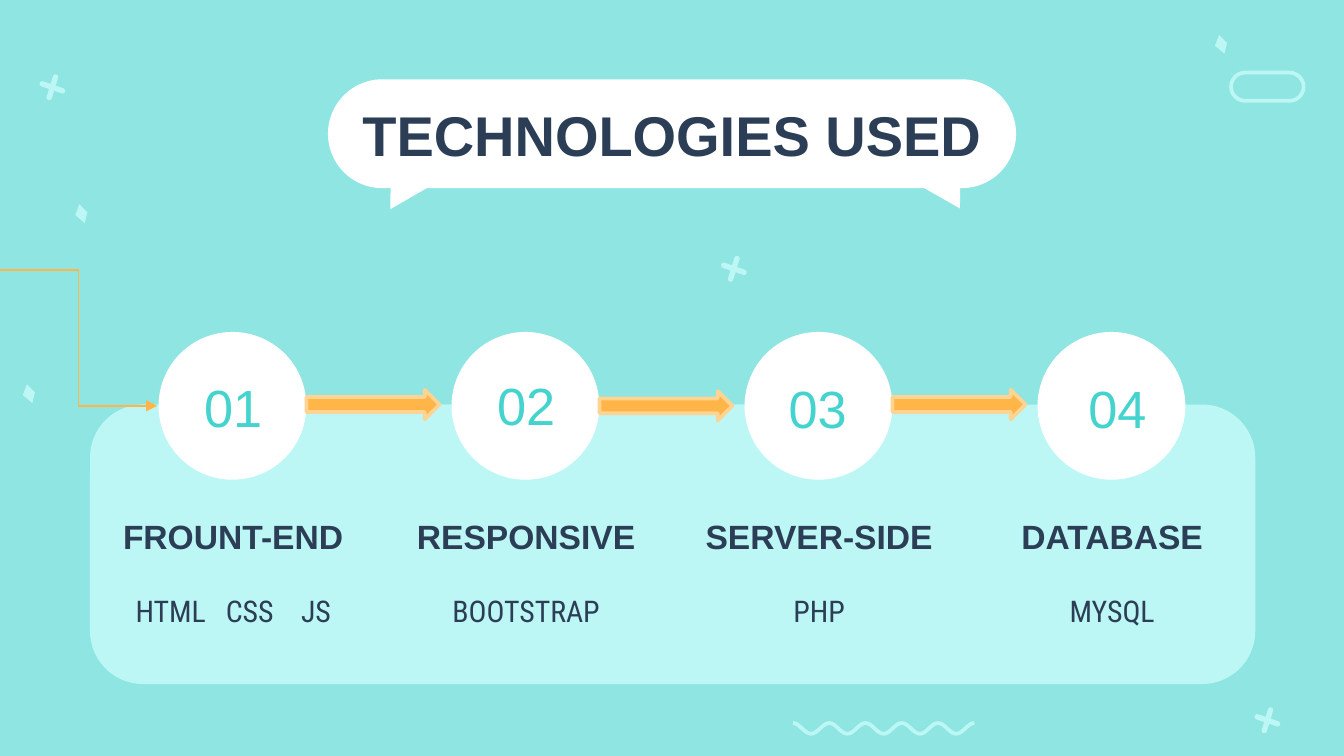
import math
from dataclasses import dataclass

import pptx
import pptx.dml.color
import pptx.enum.shapes
import pptx.enum.text
import pptx.util
from lxml import etree
from pptx.oxml import ns

Inches = pptx.util.Inches
Shape = pptx.enum.shapes.MSO_SHAPE
Align = pptx.enum.text.PP_ALIGN
Anchor = pptx.enum.text.MSO_ANCHOR


@dataclass(frozen=True)
class Theme:
    background: str = "8FE5E2"
    pale: str = "BCF7F5"
    white: str = "FFFFFF"
    ink: str = "2B3E55"
    teal: str = "44D3CE"
    orange: str = "FFB548"
    light_orange: str = "FFD391"
    heading_font: str = "Arial"
    detail_font: str = "Roboto Condensed"
    title_size: int = 30
    number_size: int = 28
    heading_size: int = 18
    detail_size: int = 16


THEME = Theme()
STEP_PITCH = 2.18
CIRCLE_LEFT, CIRCLE_TOP, CIRCLE_SIZE = 1.18, 2.47, 1.1
TEXT_LEFT, TEXT_WIDTH = 0.78, 1.91
STEPS = [
    ("01", (1.42, 2.74), "FROUNT-END", "HTML\tCSS\tJS"),
    ("02", (3.6, 2.73), "RESPONSIVE", "BOOTSTRAP"),
    ("03", (5.77, 2.75), "SERVER-SIDE", "PHP"),
    ("04", (8, 2.75), "DATABASE", "MYSQL"),
]
ARROW_TOPS = (2.9, 2.91, 2.9)
DETAIL_TABS = (0.67, 1.23)


def color(value):
    return pptx.dml.color.RGBColor.from_string(value)


def paint(shape, fill=None, line=None, width=0):
    shape.shadow.inherit = False
    if fill:
        shape.fill.solid()
        shape.fill.fore_color.rgb = color(fill)
    else:
        shape.fill.background()
    if line:
        shape.line.color.rgb = color(line)
        shape.line.width = pptx.util.Pt(width)
    else:
        shape.line.fill.background()


def add_preset(slide, kind, box, fill=None, line=None, width=0, rotation=0, rounding=None):
    shape = slide.shapes.add_shape(kind, *map(Inches, box))
    paint(shape, fill, line, width)
    shape.rotation = rotation
    if rounding is not None:
        shape.adjustments[0] = rounding
    return shape


def add_outline(slide, points, close=True):
    points = [(Inches(x), Inches(y)) for x, y in points]
    builder = slide.shapes.build_freeform(*points[0])
    builder.add_line_segments(points[1:], close=close)
    return builder.convert_to_shape()


def add_cross(slide, x, y):
    for rotation in (17, 109):
        add_preset(slide, Shape.ROUNDED_RECTANGLE, (x - 0.02, y - 0.1, 0.04, 0.2),
                   THEME.pale, rotation=rotation, rounding=0.5)


def add_kite(slide, left, top):
    corners = [(0.07, 0.14), (0.09, 0.06), (0.03, 0), (0, 0.08)]
    paint(add_outline(slide, [(left + x, top + y) for x, y in corners]), THEME.pale)


def add_wave(slide, left, middle, period, cycles):
    samples = 16
    points = [
        (left + period * i / samples, middle - 0.04 * math.cos(2 * math.pi * i / samples))
        for i in range(samples * cycles + 1)
    ]
    paint(add_outline(slide, points, close=False), line=THEME.pale, width=2)


def add_decoration(slide):
    add_preset(slide, Shape.ROUNDED_RECTANGLE, (0.67, 3.01, 8.67, 2.08), THEME.pale, rounding=0.19)
    add_preset(slide, Shape.ROUNDED_RECTANGLE, (9.16, 0.54, 0.54, 0.21),
               line=THEME.pale, width=2, rounding=0.5)
    add_wave(slide, 5.9, 5.42, 0.27, 5)
    for center in [(0.39, 0.65), (5.46, 2), (9.43, 5.36)]:
        add_cross(slide, *center)
    for corner in [(0.56, 1.52), (0.17, 2.86), (9.04, 0.26)]:
        add_kite(slide, *corner)


def write(shape, text, size, font, ink, bold=False, align=Align.CENTER,
          anchor=Anchor.TOP, inset=0.1):
    frame = shape.text_frame
    frame.word_wrap = True
    frame.auto_size = pptx.enum.text.MSO_AUTO_SIZE.NONE
    frame.vertical_anchor = anchor
    frame.margin_left = frame.margin_right = Inches(0.1)
    frame.margin_top = frame.margin_bottom = Inches(inset)
    paragraph = frame.paragraphs[0]
    paragraph.alignment = align
    paragraph.space_before = pptx.util.Pt(0)
    run = paragraph.add_run()
    run.text = text
    run.font.size = pptx.util.Pt(size)
    run.font.name = font
    run.font.bold = bold
    run.font.color.rgb = color(ink)
    return paragraph


def fill_placeholder(placeholder, box, text, size, anchor=Anchor.TOP):
    placeholder.left, placeholder.top, placeholder.width, placeholder.height = map(Inches, box)
    paragraph = write(placeholder, text, size, THEME.heading_font, THEME.ink, True, anchor=anchor)
    properties = paragraph._p.get_or_add_pPr()
    properties.set("marL", "0")
    properties.set("indent", "0")
    etree.SubElement(properties, ns.qn("a:buNone"))
    placeholder.element.getparent().append(placeholder.element)


def add_text(slide, box, text, size, font, ink, **options):
    shape = slide.shapes.add_textbox(*map(Inches, box))
    paragraph = write(shape, text, size, font, ink, **options)
    return shape, paragraph


def set_tabs(shape, paragraph, margin, stops):
    shape.text_frame.margin_left = Inches(margin)
    tabs = etree.SubElement(paragraph._p.get_or_add_pPr(), ns.qn("a:tabLst"))
    for stop in stops:
        etree.SubElement(tabs, ns.qn("a:tab"), pos=str(Inches(stop)), algn="l")


def add_title(slide):
    add_preset(slide, Shape.ROUNDED_RECTANGLE, (2.44, 0.59, 5.12, 0.81), THEME.white, rounding=0.5)
    for left, top, rotation in [(6.9, 1.28, 150), (2.81, 1.2, 330)]:
        add_preset(slide, Shape.ISOSCELES_TRIANGLE, (left, top, 0.34, 0.29),
                   THEME.white, rotation=rotation)
    fill_placeholder(slide.shapes.title, (1.16, 0.71, 7.68, 0.58), "TECHNOLOGIES USED",
                     THEME.title_size, Anchor.MIDDLE)


def add_step(slide, index, placeholder, number, number_corner, heading, detail):
    shift = index * STEP_PITCH
    add_preset(slide, Shape.OVAL, (CIRCLE_LEFT + shift, CIRCLE_TOP, CIRCLE_SIZE, CIRCLE_SIZE),
               THEME.white)
    add_text(slide, (*number_corner, 0.77, 0.57), number, THEME.number_size,
             THEME.heading_font, THEME.teal, align=Align.LEFT, inset=0.05)
    fill_placeholder(placeholder, (TEXT_LEFT + shift, 3.74, TEXT_WIDTH, 0.41),
                     heading, THEME.heading_size)
    has_columns = "\t" in detail
    shape, paragraph = add_text(slide, (TEXT_LEFT + shift, 4.31, TEXT_WIDTH, 0.53), detail,
                                THEME.detail_size, THEME.detail_font, THEME.ink,
                                align=Align.LEFT if has_columns else Align.CENTER)
    if has_columns:
        set_tabs(shape, paragraph, 0.23, DETAIL_TABS)


def add_arrows(slide):
    for index, top in enumerate(ARROW_TOPS):
        left = CIRCLE_LEFT + CIRCLE_SIZE + index * STEP_PITCH
        add_preset(slide, Shape.RIGHT_ARROW, (left, top, 0.99, 0.22),
                   THEME.orange, THEME.light_orange, 2)


def add_entry_connector(slide):
    connector = slide.shapes.add_connector(
        pptx.enum.shapes.MSO_CONNECTOR.ELBOW, *map(Inches, (0, 2.01, 1.17, 3.02)))
    connector.line.color.rgb = color(THEME.orange)
    connector.line.width = pptx.util.Pt(0.75)
    etree.SubElement(connector.line._get_or_add_ln(), ns.qn("a:tailEnd"), type="triangle")
    etree.SubElement(connector.element.spPr, ns.qn("a:effectLst"))


def main():
    presentation = pptx.Presentation()
    presentation.slide_width = Inches(10)
    presentation.slide_height = Inches(10) * 9 // 16
    slide = presentation.slides.add_slide(presentation.slide_layouts[4])
    slide.background.fill.solid()
    slide.background.fill.fore_color.rgb = color(THEME.background)
    headings = list(slide.placeholders)[1:]
    add_decoration(slide)
    add_title(slide)
    for index, (placeholder, step) in enumerate(zip(headings, STEPS)):
        add_step(slide, index, placeholder, *step)
    add_entry_connector(slide)
    add_arrows(slide)
    presentation.save("out.pptx")


if __name__ == "__main__":
    main()
